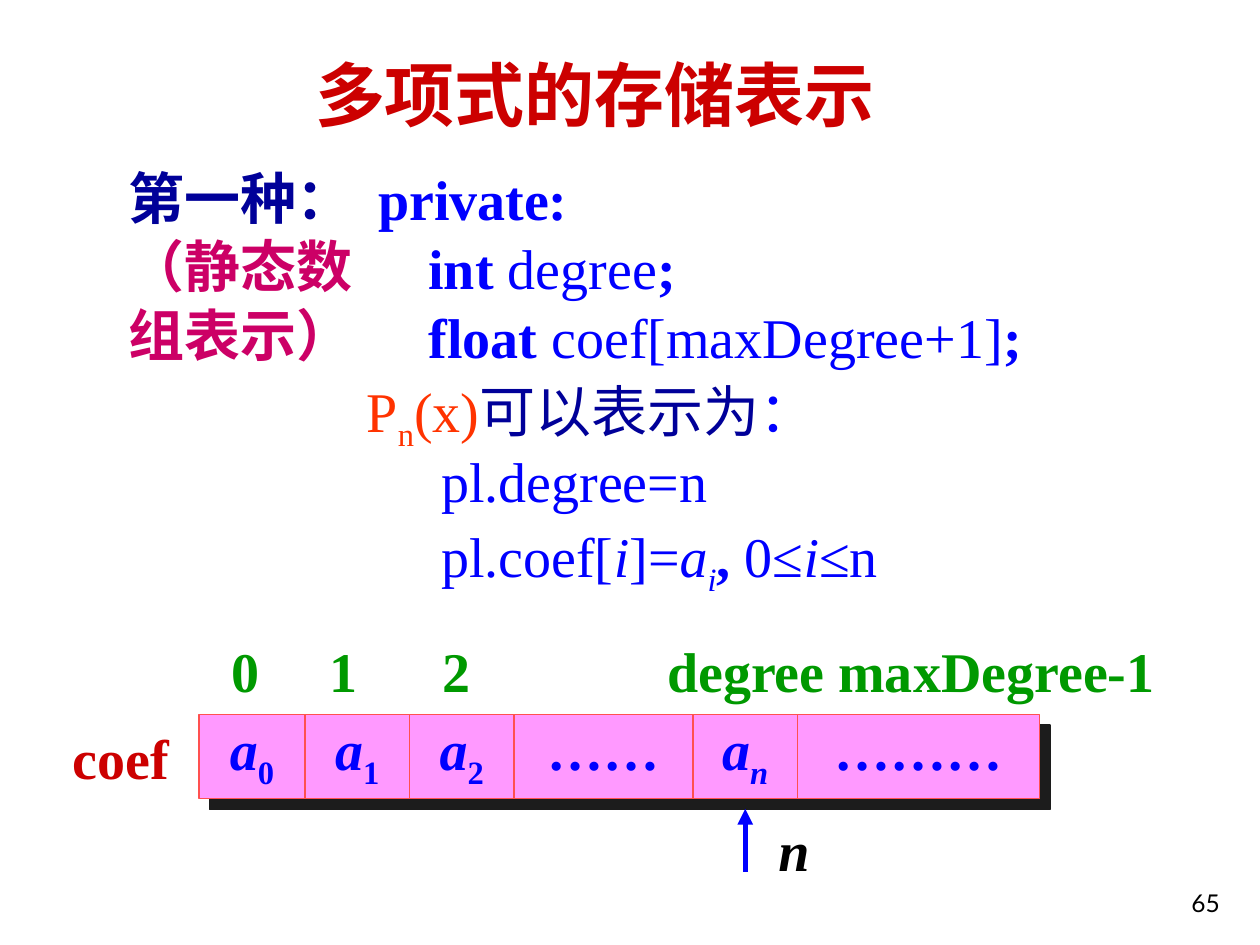
import pptx
import pptx.dml.color
import pptx.enum.shapes
import pptx.enum.text
import pptx.oxml
import pptx.oxml.ns
import pptx.util
from lxml import etree

Inches, Pt = pptx.util.Inches, pptx.util.Pt
PP_ALIGN = pptx.enum.text.PP_ALIGN
ANCHOR = pptx.enum.text.MSO_ANCHOR
qn = pptx.oxml.ns.qn

COLORS = {
    "red": "CC0000", "navy": "000099", "blue": "0000FF", "magenta": "CC0066",
    "orange": "FF3300", "pink": "FF99FF", "coral": "FF5050", "green": "009900",
    "black": "000000", "shadow": "1C1C1C",
}
SERIF = "Times New Roman"

# A run is (text, marks, colour); marks: b bold, i italic, _ subscript.
TITLE = [("多项式的存储表示", "b", "red")]
# Lines are (left margin in inches, line spacing, runs).
TIGHT, CODE_HEIGHT = 0.85, Pt(33)
KIND = [
    (0, TIGHT, [("第一种：", "b", "navy")]),
    (0, TIGHT, [("（静态数", "b", "magenta")]),
    (0, TIGHT, [("组表示）", "b", "magenta")]),
]
CODE = [
    (1.98, CODE_HEIGHT, [("private:", "b", "blue")]),
    (2.38, CODE_HEIGHT, [("int ", "b", "blue"), ("degree", "", "blue"), (";", "b", "blue")]),
    (2.38, CODE_HEIGHT, [("float ", "b", "blue"), ("coef[maxDegree+1]", "", "blue"),
                         (";", "b", "blue")]),
    (1.89, TIGHT, [("P", "", "orange"), ("n", "_", "orange"), ("(x)", "", "orange"),
                   ("可以表示为", "", "navy"), ("：", "", "blue")]),
    (2.48, TIGHT, [("pl.degree=n", "", "blue")]),
    (2.48, TIGHT, [("pl.coef[", "", "blue"), ("i", "i", "blue"), ("]=", "", "blue"),
                   ("a", "i", "blue"), ("i", "i_", "blue"), (",", "b", "blue"),
                   (" 0≤", "", "blue"), ("i", "i", "blue"), ("≤n", "", "blue")]),
]
# Array cells: (element, subscript, subscript marks)
CELLS = [("a", "0", "b_"), ("a", "1", "b_"), ("a", "2", "b_"),
         ("……", "", ""), ("a", "n", "bi_"), ("………", "", "")]
EDGES = [1.58, 2.42, 3.25, 4.08, 5.5, 6.33, 8.25]
ARRAY_TOP, ARRAY_HEIGHT = 5.67, 0.67
DEGREE_CELL = 4
# Index labels: (text, centre, width)
INDEXES = [("0", 1.95, 0.6), ("1", 2.73, 0.6), ("2", 3.62, 0.6),
           ("degree", 5.92, 1.5), ("maxDegree-1", 7.91, 2.8)]


def rgb(name):
    return pptx.dml.color.RGBColor.from_string(COLORS[name])


def place(shape, box):
    shape.left, shape.top, shape.width, shape.height = map(Inches, box)


def write(paragraph, runs, size=32, font=SERIF, margin=0, align=PP_ALIGN.LEFT):
    properties = paragraph._p.get_or_add_pPr()
    properties.set("marL", str(Inches(margin)))
    properties.set("indent", "0")
    etree.SubElement(properties, qn("a:buNone"))
    paragraph.alignment = align
    paragraph.font.size = Pt(size)
    paragraph.font.name = font
    for text, marks, color in runs:
        run = paragraph.add_run()
        run.text = text
        run.font.bold = "b" in marks
        run.font.italic = "i" in marks
        run.font.color.rgb = rgb(color)
        if "_" in marks:
            run.font._element.set("baseline", "-25000")


def write_lines(frame, lines):
    for number, (margin, spacing, runs) in enumerate(lines):
        line = frame.add_paragraph() if number else frame.paragraphs[0]
        write(line, runs, margin=margin)
        line.line_spacing = spacing
        line.space_before = Pt(6.4 if number else 0)


def add_frame(slide, box):
    frame = slide.shapes.add_textbox(*map(Inches, box)).text_frame
    frame.word_wrap = True
    return frame


def add_label(slide, box, runs, **style):
    frame = add_frame(slide, box)
    write(frame.paragraphs[0], runs, **style)
    return frame


def add_line(slide, start, end, color, width):
    line = slide.shapes.add_connector(
        pptx.enum.shapes.MSO_CONNECTOR.STRAIGHT, *map(Inches, start + end))
    line.line.color.rgb = rgb(color)
    line.line.width = Pt(width)
    etree.SubElement(line._element.spPr, qn("a:effectLst"))
    return line


def add_array(slide):
    """Draw the shadowed bar with its dividers and elements."""
    bar = slide.shapes.add_shape(
        pptx.enum.shapes.MSO_SHAPE.RECTANGLE,
        *map(Inches, (EDGES[0], ARRAY_TOP, EDGES[-1] - EDGES[0], ARRAY_HEIGHT)))
    bar.fill.solid()
    bar.fill.fore_color.rgb = rgb("pink")
    bar.line.color.rgb = rgb("coral")
    bar.line.width = Pt(0.75)
    bar.shadow.inherit = False
    shadow = etree.SubElement(
        bar._element.spPr.find(qn("a:effectLst")), qn("a:outerShdw"),
        dist=str(Pt(8.5)), dir=str(45 * 60000), algn="ctr", rotWithShape="0")
    etree.SubElement(shadow, qn("a:srgbClr"), val=COLORS["shadow"])
    for x in EDGES[1:-1]:
        add_line(slide, (x, ARRAY_TOP), (x, ARRAY_TOP + ARRAY_HEIGHT), "coral", 0.75)
    for (element, subscript, marks), left, right in zip(CELLS, EDGES, EDGES[1:]):
        runs = [(element, "bi" if subscript else "b", "blue")]
        if subscript:
            runs.append((subscript, marks, "blue"))
        add_label(slide, (left, 5.62, right - left, 0.64), runs, align=PP_ALIGN.CENTER)


def main():
    deck = pptx.Presentation()
    deck.slide_width, deck.slide_height = Inches(10), Inches(7.5)
    slide = deck.slides.add_slide(deck.slide_layouts[1])
    title, body = slide.placeholders

    place(title, (2.4, 0.36, 4.82, 0.75))
    title.text_frame.vertical_anchor = ANCHOR.TOP
    write(title.text_frame.paragraphs[0], TITLE, size=40)

    place(body, (0.92, 1.33, 8.5, 3.92))
    body.text_frame.auto_size = pptx.enum.text.MSO_AUTO_SIZE.NONE
    write_lines(body.text_frame, CODE)
    write_lines(add_frame(slide, (0.92, 1.33, 2.08, 1.65)), KIND)

    add_array(slide)
    for index, centre, width in INDEXES:
        add_label(slide, (centre - width / 2, 5, width, 0.64),
                  [(index, "b", "green")], align=PP_ALIGN.CENTER)
    add_label(slide, (0.48, 5.69, 0.97, 0.63), [("coef", "b", "red")])
    add_label(slide, (6.08, 6.42, 0.45, 0.63), [("n", "bi", "black")])

    middle = (EDGES[DEGREE_CELL] + EDGES[DEGREE_CELL + 1]) / 2
    arrow = add_line(slide, (middle, 6.92), (middle, 6.42), "blue", 3)
    etree.SubElement(arrow.line._get_or_add_ln(), qn("a:tailEnd"), type="triangle")

    page = add_label(slide, (7.7, 6.83, 2.08, 0.5), [("65", "", "black")],
                     size=14, font="Lato", align=PP_ALIGN.RIGHT)
    page.vertical_anchor = ANCHOR.BOTTOM

    deck.save("out.pptx")


if __name__ == "__main__":
    main()
